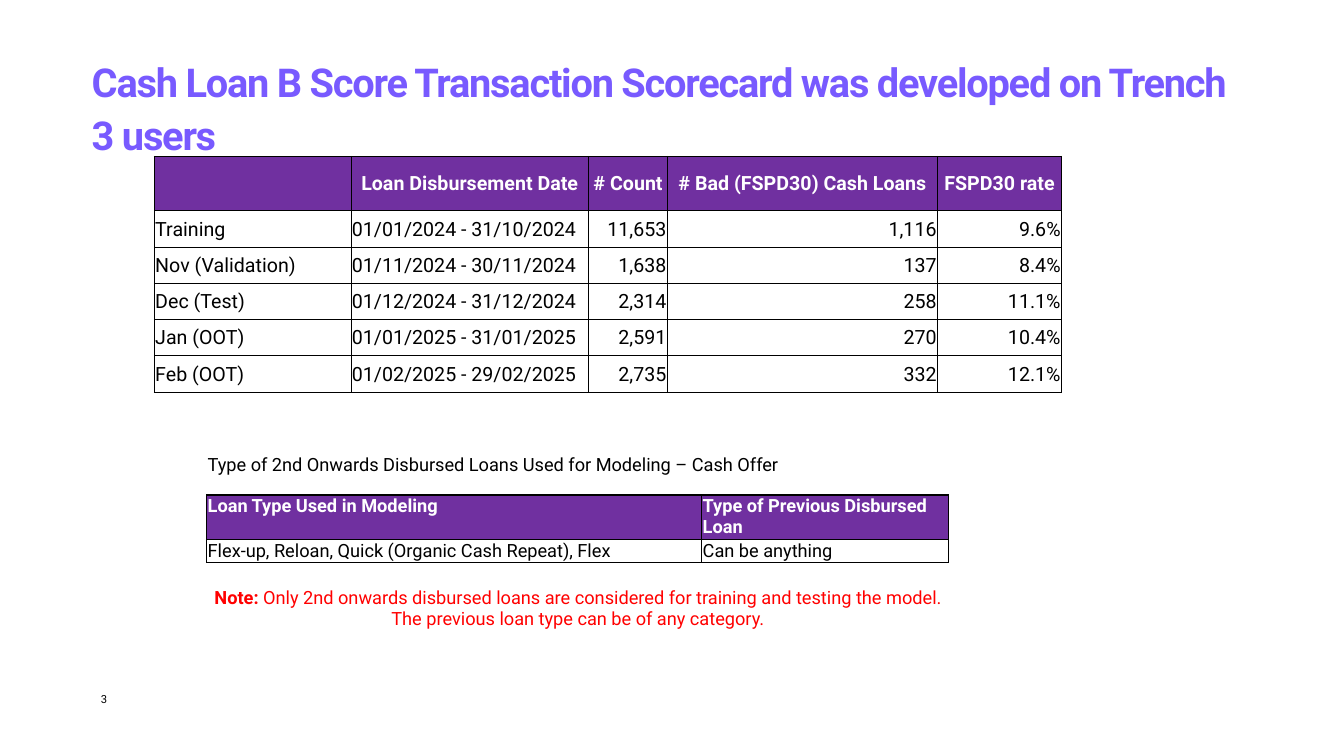
import pptx
import pptx.dml.color
import pptx.enum.text
import pptx.oxml.ns
import pptx.util
from lxml import etree

Inches, Pt = pptx.util.Inches, pptx.util.Pt
RGBColor = pptx.dml.color.RGBColor
ALIGN = pptx.enum.text.PP_ALIGN
ANCHOR = pptx.enum.text.MSO_ANCHOR
qn = pptx.oxml.ns.qn

FONT = "Roboto"
VIOLET = RGBColor(0x78, 0x5A, 0xFF)
PURPLE = RGBColor(0x70, 0x30, 0xA0)
WHITE = RGBColor(0xFF, 0xFF, 0xFF)
BLACK = RGBColor(0, 0, 0)
RED = RGBColor(0xFF, 0, 0)

SAMPLE_ROWS = [
    ["", "Loan Disbursement Date", "# Count", "# Bad (FSPD30) Cash Loans", "FSPD30 rate"],
    ["Training", "01/01/2024 - 31/10/2024", "11,653", "1,116", "9.6%"],
    ["Nov (Validation)", "01/11/2024 - 30/11/2024", "1,638", "137", "8.4%"],
    ["Dec (Test)", "01/12/2024 - 31/12/2024", "2,314", "258", "11.1%"],
    ["Jan (OOT)", "01/01/2025 - 31/01/2025", "2,591", "270", "10.4%"],
    ["Feb (OOT)", "01/02/2025 - 29/02/2025", "2,735", "332", "12.1%"],
]
LOAN_TYPE_ROWS = [
    ["Loan Type Used in Modeling", "Type of Previous Disbursed Loan"],
    ["Flex-up, Reloan, Quick (Organic Cash Repeat), Flex", "Can be anything"],
]
CAPTION = "Type of 2nd Onwards Disbursed Loans Used for Modeling – Cash Offer"
NOTE = (" Only 2nd onwards disbursed loans are considered for training and testing "
        "the model. The previous loan type can be of any category.")


def add_run(paragraph, text, size, color, bold=False):
    run = paragraph.add_run()
    run.text = text
    run.font.name = FONT
    run.font.size = Pt(size)
    run.font.bold = bold
    run.font.color.rgb = color
    return run


def clear_margins(frame):
    frame.margin_left = frame.margin_right = 0
    frame.margin_top = frame.margin_bottom = 0
    frame.word_wrap = True


def set_borders(cell, edges, width):
    """Draw the named edges (L, R, T, B) in black and hide the others."""
    properties = cell._tc.get_or_add_tcPr()
    for index, edge in enumerate("LRTB"):
        line = etree.Element(qn("a:ln" + edge), w=str(Pt(width)))
        if edge in edges:
            fill = etree.SubElement(line, qn("a:solidFill"))
            etree.SubElement(fill, qn("a:srgbClr"), val=str(BLACK))
        else:
            etree.SubElement(line, qn("a:noFill"))
        properties.insert(index, line)


def add_grid(slide, left, top, columns, rows, size):
    """Add an unstyled table with the given column widths and row heights."""
    table = slide.shapes.add_table(
        len(rows), len(columns), Inches(left), Inches(top),
        Inches(sum(columns)), Inches(sum(rows))).table
    table.first_row = table.horz_banding = False
    for column, width in zip(table.columns, columns):
        column.width = Inches(width)
    for row, height in zip(table.rows, rows):
        row.height = Inches(height)
    for cell in table.iter_cells():
        cell.margin_left = cell.margin_right = cell.margin_top = Inches(0.01)
        cell.margin_bottom = 0
        cell.fill.background()
        # Keep empty cells as low as the filled ones
        etree.SubElement(cell.text_frame.paragraphs[0]._p,
                         qn("a:endParaRPr"), sz=str(size * 100))
    return table


def fill_cell(cell, text, size, header, align=ALIGN.LEFT):
    if header:
        cell.fill.solid()
        cell.fill.fore_color.rgb = PURPLE
    if text:
        paragraph = cell.text_frame.paragraphs[0]
        paragraph.alignment = align
        add_run(paragraph, text, size, WHITE if header else BLACK, header)


def add_title(slide, left, top, width, height):
    title = slide.shapes.title
    title.left, title.top = Inches(left), Inches(top)
    title.width, title.height = Inches(width), Inches(height)
    frame = title.text_frame
    clear_margins(frame)
    frame.auto_size = pptx.enum.text.MSO_AUTO_SIZE.NONE
    frame.vertical_anchor = ANCHOR.TOP
    paragraph = frame.paragraphs[0]
    paragraph.alignment = ALIGN.LEFT
    paragraph.line_spacing = 1.1
    run = add_run(
        paragraph,
        "Cash Loan B Score Transaction Scorecard was developed on Trench 3 users",
        28.4, VIOLET, True)
    run.font._element.set("spc", "-90")


def add_sample_table(slide, left, top):
    size = 14
    heights = [0.54] + [0.36] * (len(SAMPLE_ROWS) - 1)
    table = add_grid(slide, left, top, [1.95, 2.36, 0.78, 2.68, 1.23], heights, size)
    for row_index, values in enumerate(SAMPLE_ROWS):
        header = row_index == 0
        for column_index, text in enumerate(values):
            cell = table.cell(row_index, column_index)
            cell.vertical_anchor = ANCHOR.MIDDLE
            number_align = ALIGN.RIGHT if column_index > 1 else ALIGN.LEFT
            fill_cell(cell, text, size, header, ALIGN.CENTER if header else number_align)
            set_borders(cell, "LRTB", 0.5)


def add_loan_type_table(slide, left, top):
    size = 13
    table = add_grid(slide, left, top, [4.91, 2.45], [0.41, 0.43, 0.22, 0.21, 0.43], size)

    # Only the two middle rows are framed
    for row_index, edges in enumerate(["B", "LRTB", "LRTB", "T", ""]):
        for column_index in range(2):
            set_borders(table.cell(row_index, column_index), edges, 1)

    # Caption and note run across both columns
    caption, note = table.cell(0, 0), table.cell(4, 0)
    caption.merge(table.cell(0, 1))
    note.merge(table.cell(4, 1))
    fill_cell(caption, CAPTION, size, False)
    paragraph = note.text_frame.paragraphs[0]
    paragraph.alignment = ALIGN.CENTER
    note.vertical_anchor = ANCHOR.MIDDLE
    add_run(paragraph, "Note:", size, RED, True)
    add_run(paragraph, NOTE, size, RED)

    for row_index, values in enumerate(LOAN_TYPE_ROWS, start=1):
        for column_index, text in enumerate(values):
            fill_cell(table.cell(row_index, column_index), text, size, row_index == 1)


def add_page_number(slide, left, top, width, height):
    box = slide.shapes.add_textbox(
        Inches(left), Inches(top), Inches(width), Inches(height))
    clear_margins(box.text_frame)
    add_run(box.text_frame.paragraphs[0], "3", 8, BLACK)


def main():
    presentation = pptx.Presentation()
    presentation.slide_width = Inches(13.33)
    presentation.slide_height = Inches(7.5)
    slide = presentation.slides.add_slide(presentation.slide_layouts[5])
    add_page_number(slide, 1, 6.87, 2.92, 0.25)
    add_title(slide, 0.91, 0.53, 11.34, 0.53)
    add_sample_table(slide, 1.53, 1.55)
    add_loan_type_table(slide, 2.05, 4.5)
    presentation.save("out.pptx")


if __name__ == "__main__":
    main()
